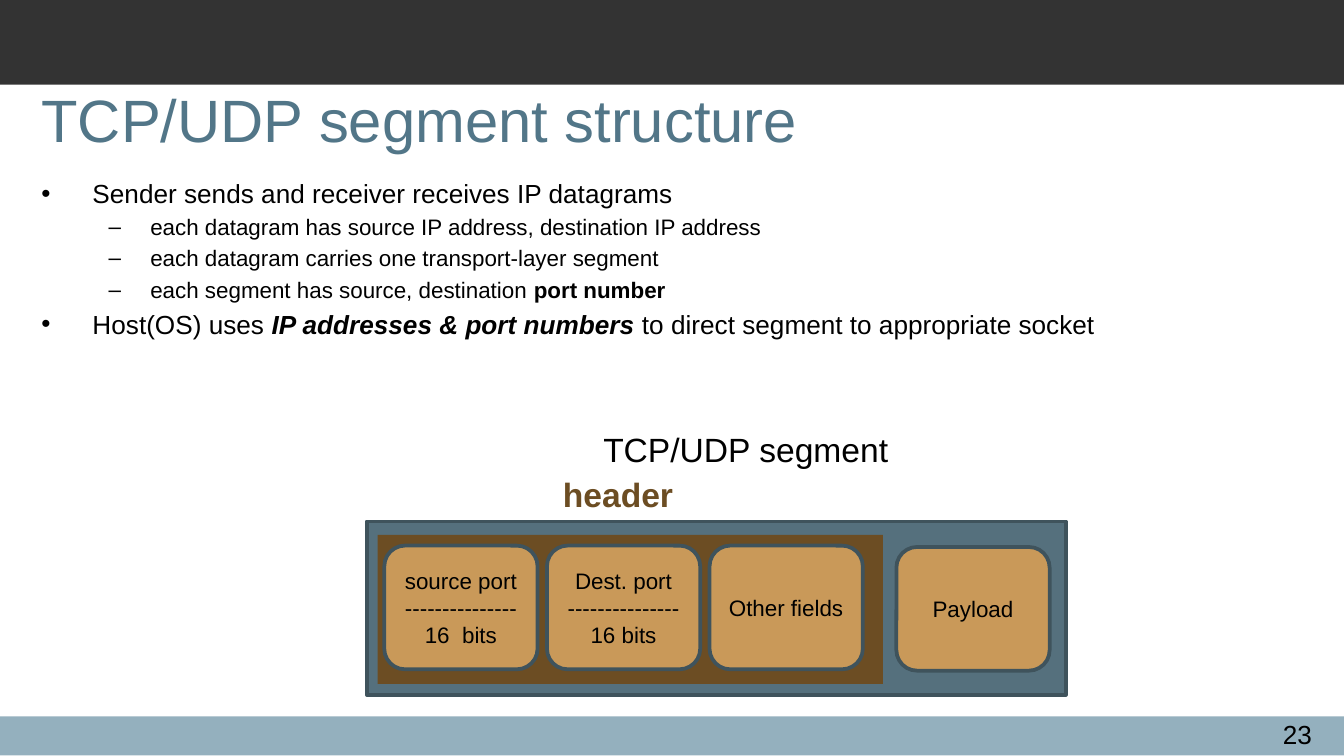
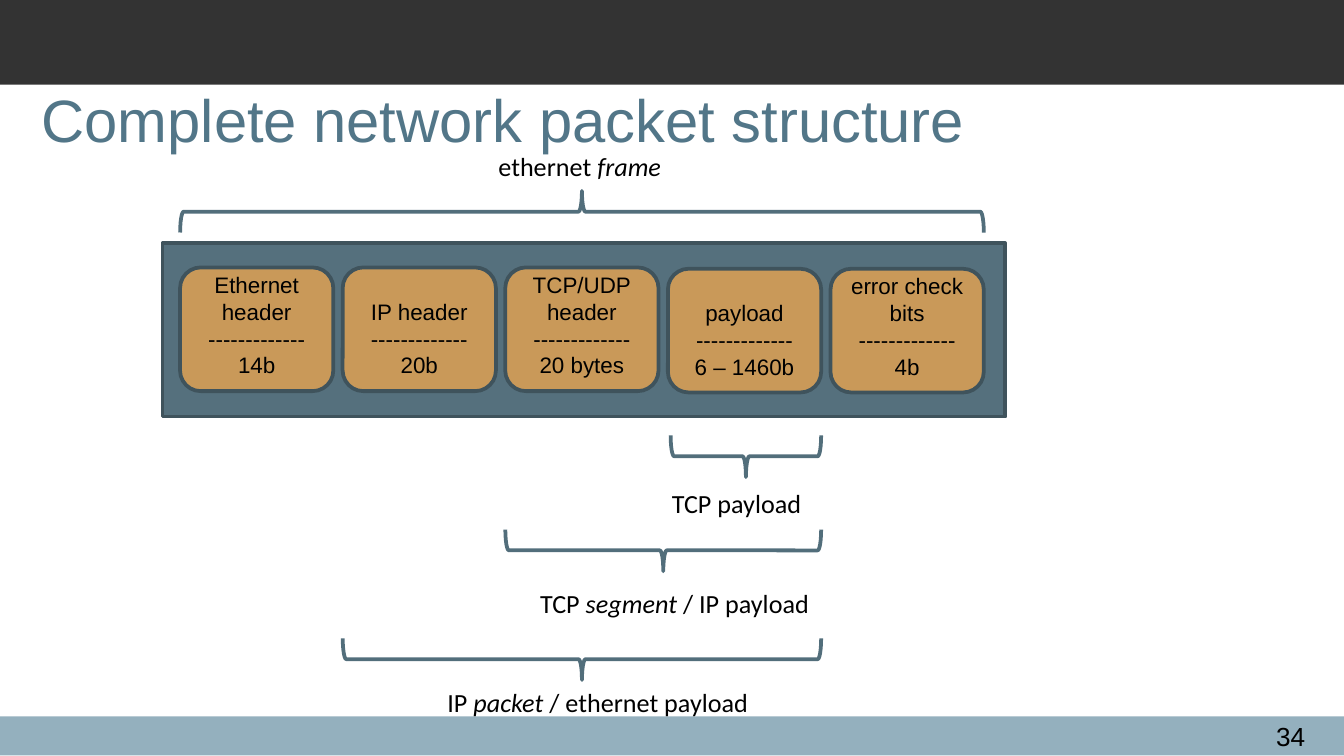
from pptx import Presentation
from pptx import util as u
from pptx.dml import color
from pptx.enum import shapes, text
from lxml import etree

FONT = "Arial"
BLACK, DARK, PALE = "000000", "333333", "94B0BE"
BLUE, SLATE, EDGE = "527688", "55707D", "3F535C"
BROWN, TAN, BRACE = "6C4D23", "C99959", "526E7B"
KIND = shapes.MSO_SHAPE
ALIGN = text.PP_ALIGN
MID, LOW = text.MSO_ANCHOR.MIDDLE, text.MSO_ANCHOR.BOTTOM
WIDE, HIGH, STEP = 1.14, 0.92, 1.21  # field boxes and their pitch


def put(page, kind, box, fill=None, line=None):
    """Add a preset shape, or a text box when kind is None."""
    place = [u.Inches(n) for n in box]
    if kind is None:
        return page.shapes.add_textbox(*place)
    item = page.shapes.add_shape(kind, *place)
    item.shadow.inherit = False
    if fill:
        item.fill.solid()
        item.fill.fore_color.rgb = color.RGBColor.from_string(fill)
    else:
        item.fill.background()
    if line:
        item.line.color.rgb = color.RGBColor.from_string(line)
        item.line.width = u.Pt(2)
    else:
        item.line.fill.background()
    return item


def write(item, lines, size, hue=BLACK, align=ALIGN.LEFT, anchor=None,
          font=FONT, bold=False, mark="italic"):
    """Fill a shape with lines; parts between bars get the mark style."""
    frame = item.text_frame
    frame.word_wrap = True
    if anchor is not None:
        frame.vertical_anchor = anchor
    for i, line in enumerate(lines):
        para = frame.add_paragraph() if i else frame.paragraphs[0]
        para.alignment = align
        for j, part in enumerate(line.split("|")):
            if not part:
                continue
            run = para.add_run()
            run.text = part
            run.font.size = u.Pt(size)
            run.font.name = font
            run.font.bold = bold
            run.font.color.rgb = color.RGBColor.from_string(hue)
            if j % 2:
                setattr(run.font, mark, True)
    return frame


deck = Presentation()
deck.slide_width = u.Inches(10)
deck.slide_height = deck.slide_width * 9 // 16

# Bands, title and page number of both slides
pages = []
for title, number, left, top in [
        ("TCP/UDP segment structure", "23", 8.96, 5.3),
        ("Complete network packet structure", "34", 8.91, 5.31)]:
    page = deck.slides.add_slide(deck.slide_layouts[6])
    put(page, KIND.RECTANGLE, (0, 5.33, 10, 0.29), PALE)
    put(page, KIND.RECTANGLE, (0, 0, 10, 0.63), DARK)
    head = put(page, None, (0.21, 0.63, 9.59, 0.5))
    write(head, [title], 32, BLUE, anchor=MID)
    write(put(page, None, (left, top, 0.9, 0.16)), [number], 14,
          align=ALIGN.RIGHT)
    pages.append(page)
first, last = pages

# Slide 1: bullets
points = [
    (0, "Sender sends and receiver receives IP datagrams"),
    (1, "each datagram has source IP address, destination IP address"),
    (1, "each datagram carries one transport-layer segment"),
    (1, "each segment has source, destination |port number"),
    (0, "Host(OS) uses |IP addresses & port numbers |"
        "to direct segment to appropriate socket"),
]
body = write(put(first, None, (0.21, 1.27, 9.42, 3.76)),
             [line for _, line in points], 14, mark="bold")
levels = [(0.38, -0.38, "•", 14), (0.81, -0.31, "–", 12)]
for i, (para, (level, _)) in enumerate(zip(body.paragraphs, points)):
    margin, indent, sign, size = levels[level]
    para.level = level
    if i:
        para.space_before = u.Pt(size * 0.2)
    props = para._p.get_or_add_pPr()
    props.set("marL", str(u.Inches(margin)))
    props.set("indent", str(u.Inches(indent)))
    space = props.nsmap["a"]
    etree.SubElement(props, f"{{{space}}}buFont", typeface=FONT)
    etree.SubElement(props, f"{{{space}}}buChar", char=sign)
    for run in para.runs:
        run.font.size = u.Pt(size)
body.paragraphs[-1].runs[1].font.italic = True

# Slide 1: segment with its header
put(first, KIND.RECTANGLE, (2.73, 3.88, 5.2, 1.29), SLATE, EDGE)
put(first, KIND.RECTANGLE, (2.81, 3.98, 3.76, 1.11), BROWN)
write(put(first, None, (4.39, 3.14, 2.48, 0.4)), ["TCP/UDP segment"], 18)
write(put(first, None, (4.09, 3.48, 1.19, 0.4)), ["header"], 18, BROWN,
      bold=True)

# Slide 2: frame around the packet
put(last, KIND.RECTANGLE, (1.21, 1.81, 6.27, 1.29), SLATE, EDGE)

# Field boxes of both slides
rule, dash = "-" * 15, "-" * 13
rows = [
    (first, 2.86, 4.06, MID, [
        ["source port", rule, "16  bits"],
        ["Dest. port", rule, "16 bits"],
        ["Other fields"]]),
    (first, 6.67, 4.07, MID, [["Payload"]]),
    (last, 1.34, 1.99, LOW, [
        ["Ethernet header", dash, "14b"],
        ["IP header", dash, "20b"],
        ["TCP/UDP", "header", dash, "20 bytes"]]),
    (last, 1.34 + 3 * STEP, 2, LOW, [
        ["payload", dash, "6 – 1460b"],
        ["error check bits", dash, "4b"]]),
]
for page, left, top, anchor, fields in rows:
    for i, lines in enumerate(fields):
        field = put(page, KIND.ROUNDED_RECTANGLE,
                    (left + i * STEP, top, WIDE, HIGH), TAN, EDGE)
        write(field, lines, 12, align=ALIGN.CENTER, anchor=anchor)

# Slide 2: braces, given by visible left, top and span, with labels
deep = 0.31
for left, top, span, turn, line, box in [
        (4.99, 3.24, 1.12, 90, "TCP payload", (4.9, 3.58, 1.32)),
        (3.76, 3.94, 2.35, 90, "TCP |segment| / IP payload",
         (3.92, 4.32, 2.26)),
        (2.55, 4.75, 3.56, 90, "IP |packet| / ethernet payload",
         (3.23, 5.06, 2.51)),
        (1.34, 1.42, 5.98, 270, "ethernet |frame", (3.61, 1.07, 1.48))]:
    shift = (span - deep) / 2
    brace = put(last, KIND.RIGHT_BRACE,
                (left + shift, top - shift, deep, span), line=BRACE)
    brace.rotation = turn
    write(put(last, None, (*box, 0.34)), [line], 14, font="Calibri")

deck.save("out.pptx")
